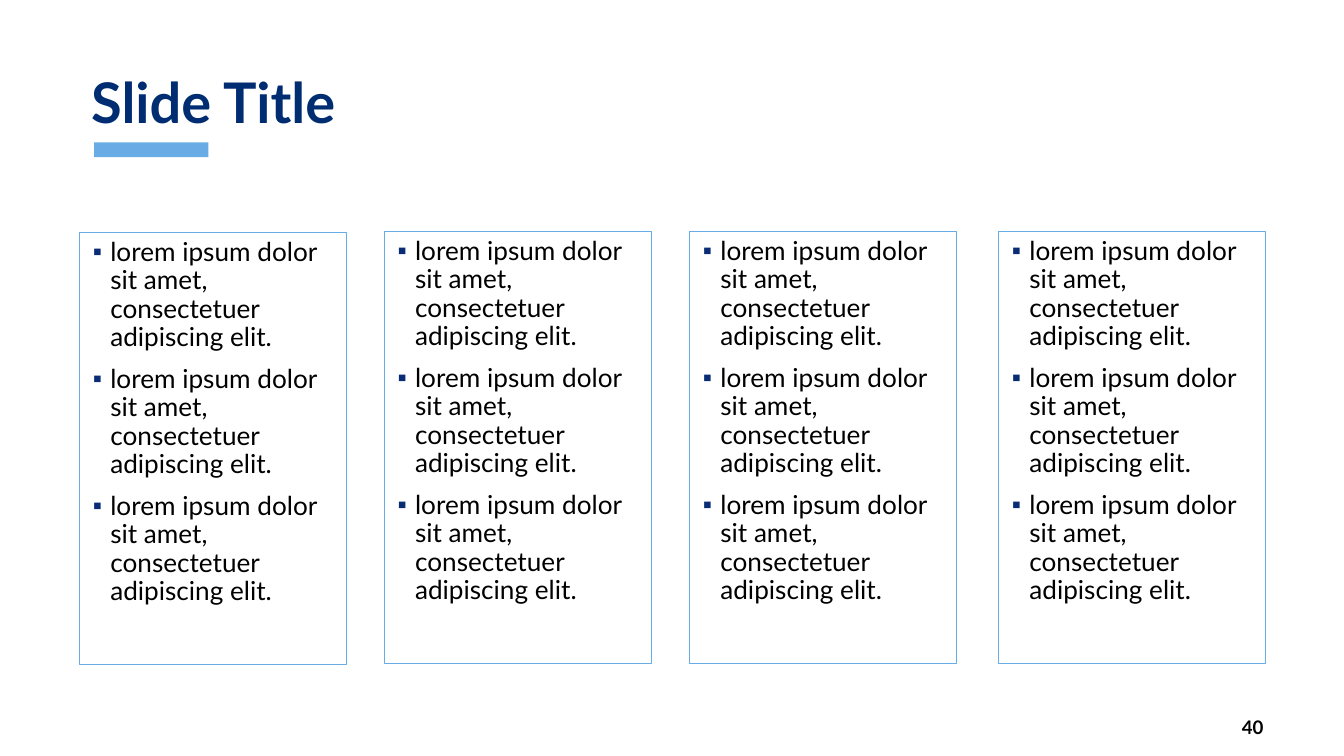
"""Build a title slide with four bordered bullet columns."""
from lxml import etree
from pptx import Presentation
from pptx.dml.color import RGBColor
from pptx.enum.shapes import MSO_SHAPE
from pptx.enum.text import MSO_ANCHOR, MSO_AUTO_SIZE, PP_ALIGN
from pptx.oxml.ns import qn
from pptx.util import Cm, Pt

RECTANGLE = MSO_SHAPE.RECTANGLE
TOP, MIDDLE, BOTTOM = MSO_ANCHOR.TOP, MSO_ANCHOR.MIDDLE, MSO_ANCHOR.BOTTOM
LEFT, RIGHT = PP_ALIGN.LEFT, PP_ALIGN.RIGHT
NO_AUTOFIT = MSO_AUTO_SIZE.NONE

NAVY = RGBColor(0x00, 0x2D, 0x72)
BULLET_NAVY = RGBColor(0x09, 0x2C, 0x74)
ACCENT_BLUE = RGBColor(0x69, 0xAC, 0xE5)
BORDER_BLUE = RGBColor(0x68, 0xAC, 0xE5)
BLACK = RGBColor(0x00, 0x00, 0x00)

LOREM = "lorem ipsum dolor sit amet, consectetuer adipiscing elit."
COLUMN_CORNERS = [(1.5, 4.39), (7.26, 4.37), (13.03, 4.37), (18.87, 4.37)]


class SlideBuilder:
    def __init__(self, slide, font_name):
        self.slide = slide
        self.font_name = font_name

    def apply(self, target, values):
        for name, value in values.items():
            setattr(target, name, value)

    def place(self, shape, left, top, width, height):
        self.apply(shape, {"left": Cm(left), "top": Cm(top),
                           "width": Cm(width), "height": Cm(height)})

    def frame(self, shape, anchor):
        self.apply(shape.text_frame, {"auto_size": NO_AUTOFIT, "word_wrap": True,
                                      "vertical_anchor": anchor})

    def style(self, paragraph, size, color, bold, **layout):
        self.apply(paragraph, layout)
        self.apply(paragraph.font, {"name": self.font_name, "size": Pt(size),
                                    "bold": bold})
        paragraph.font.color.rgb = color

    def bullet(self, paragraph):
        properties = paragraph._p.get_or_add_pPr()
        properties.set("marL", str(Cm(0.33)))
        properties.set("indent", str(-Cm(0.33)))
        color = etree.SubElement(properties, qn("a:buClr"))
        etree.SubElement(color, qn("a:srgbClr"), val=str(BULLET_NAVY))
        etree.SubElement(properties, qn("a:buChar"), char="▪")

    def title(self, text, *box):
        heading = self.slide.shapes.title
        self.place(heading, *box)
        self.frame(heading, BOTTOM)
        heading.text_frame.text = text
        self.style(heading.text_frame.paragraphs[0], 30, NAVY, True,
                   alignment=LEFT, line_spacing=0.9)

    def accent_bar(self, *box):
        bar = self.slide.shapes.add_shape(RECTANGLE, *map(Cm, box))
        bar.shadow.inherit = False
        bar.fill.solid()
        bar.fill.fore_color.rgb = ACCENT_BLUE
        bar.line.fill.background()

    def column(self, column, items, *box):
        self.place(column, *box)
        self.frame(column, TOP)
        column.line.color.rgb = BORDER_BLUE
        column.line.width = Pt(0.5)
        column.text_frame.text = "\n".join(items)
        for position, paragraph in enumerate(column.text_frame.paragraphs):
            self.bullet(paragraph)
            self.style(paragraph, 14, BLACK, False, alignment=LEFT, line_spacing=0.9,
                       space_before=Pt(7.5 if position else 0))

    def page_number(self, number, *box):
        footer = self.slide.shapes.add_textbox(*map(Cm, box))
        self.frame(footer, MIDDLE)
        footer.text_frame.text = number
        self.style(footer.text_frame.paragraphs[0], 10, BLACK, True, alignment=RIGHT)


def main():
    presentation = Presentation()
    presentation.slide_width, presentation.slide_height = Cm(25.4), Cm(14.29)
    comparison_layout = presentation.slide_layouts.get_by_name("Comparison")
    slide = presentation.slides.add_slide(comparison_layout)
    builder = SlideBuilder(slide, "Lato")

    builder.accent_bar(1.78, 2.69, 2.16, 0.28)
    builder.page_number("40", 21.92, 13.51, 2.21, 0.48)
    builder.title("Slide Title", 1.47, 0.3, 22.45, 2.39)
    columns = list(slide.placeholders)[1:]
    for column, (left, top) in zip(columns, COLUMN_CORNERS):
        builder.column(column, [LOREM] * 3, left, top, 5.05, 8.18)

    presentation.save("out.pptx")


if __name__ == "__main__":
    main()
